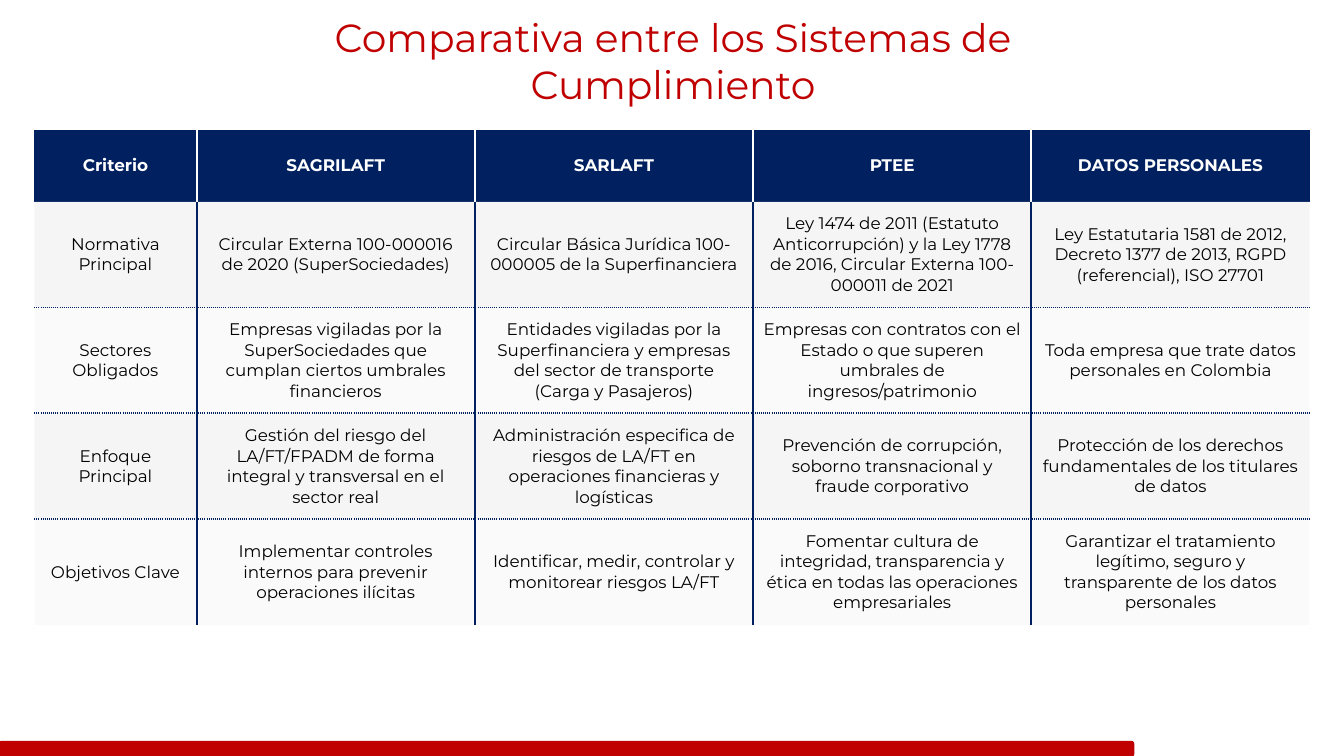
from lxml import etree
from pptx import Presentation
from pptx.dml.color import RGBColor
from pptx.enum import shapes, text
from pptx.oxml.ns import qn
from pptx.util import Inches, Pt

FONT = "Montserrat"
RED = RGBColor(0xC0, 0x00, 0x00)
NAVY = RGBColor(0x00, 0x20, 0x60)
WHITE = RGBColor(0xFF, 0xFF, 0xFF)
BLACK = RGBColor(0x00, 0x00, 0x00)
ROW_GRAYS = (RGBColor(0xE1, 0xE1, 0xE1), RGBColor(0xF0, 0xF0, 0xF0))
ROW_OPACITY = 30

COLUMN_WIDTHS = (1.61, 2.76, 2.76, 2.76, 2.76)
ROW_HEIGHTS = (0.71, 1.05, 1.05, 1.05, 1.05)
COMPARISON = (
    ("Criterio", "SAGRILAFT", "SARLAFT", "PTEE", "DATOS PERSONALES"),
    ("Normativa Principal",
     "Circular Externa 100-000016 de 2020 (SuperSociedades)",
     "Circular Básica Jurídica 100-000005 de la Superfinanciera",
     "Ley 1474 de 2011 (Estatuto Anticorrupción) y la Ley 1778 de 2016, "
     "Circular Externa 100-000011 de 2021",
     "Ley Estatutaria 1581 de 2012, Decreto 1377 de 2013, RGPD (referencial), ISO 27701"),
    ("Sectores Obligados",
     "Empresas vigiladas por la SuperSociedades que cumplan ciertos umbrales financieros",
     "Entidades vigiladas por la Superfinanciera y empresas del sector de transporte "
     "(Carga y Pasajeros)",
     "Empresas con contratos con el Estado o que superen umbrales de ingresos/patrimonio",
     "Toda empresa que trate datos personales en Colombia"),
    ("Enfoque Principal",
     "Gestión del riesgo del LA/FT/FPADM de forma integral y transversal en el sector real",
     "Administración especifica de riesgos de LA/FT en operaciones financieras y logísticas",
     "Prevención de corrupción, soborno transnacional y fraude corporativo",
     "Protección de los derechos fundamentales de los titulares de datos"),
    ("Objetivos Clave",
     "Implementar controles internos para prevenir operaciones ilícitas",
     "Identificar, medir, controlar y monitorear riesgos LA/FT",
     "Fomentar cultura de integridad, transparencia y ética en todas las "
     "operaciones empresariales",
     "Garantizar el tratamiento legítimo, seguro y transparente de los datos personales"),
)


def write_centred(frame, wording, size, color, bold=False):
    frame.word_wrap = True
    paragraph = frame.paragraphs[0]
    paragraph.text = wording
    paragraph.alignment = text.PP_ALIGN.CENTER
    font = paragraph.font
    font.name, font.size, font.bold = FONT, Pt(size), bold
    font.color.rgb = color


def fill_cell(cell, color, opacity=100):
    cell.fill.solid()
    cell.fill.fore_color.rgb = color
    if opacity < 100:
        rgb = cell._tc.tcPr.find(".//" + qn("a:srgbClr"))
        etree.SubElement(rgb, qn("a:alpha"), val=str(opacity * 1000))


def set_borders(cell, borders):
    """Draw four edges, given as (color, dash) or None in the order L, R, T, B."""
    properties = cell._tc.get_or_add_tcPr()
    for position, (side, border) in enumerate(zip("LRTB", borders)):
        line = etree.Element(qn("a:ln" + side), w=str(Pt(1.5)))
        if border:
            color, dash = border
            solid = etree.SubElement(line, qn("a:solidFill"))
            etree.SubElement(solid, qn("a:srgbClr"), val=str(color))
            etree.SubElement(line, qn("a:prstDash"), val=dash)
        else:
            etree.SubElement(line, qn("a:noFill"))
        properties.insert(position, line)


def add_footer_bar(slide):
    bar = slide.shapes.add_shape(
        shapes.MSO_SHAPE.ROUNDED_RECTANGLE,
        Inches(-0.01), Inches(7.35), Inches(11.26), Inches(0.16))
    bar.shadow.inherit = False
    bar.fill.solid()
    bar.fill.fore_color.rgb = RED
    bar.line.fill.background()


def add_title(slide, wording):
    title = slide.shapes.add_textbox(Inches(3.2), Inches(0.3), Inches(6.95), Inches(0.59))
    frame = title.text_frame
    frame.vertical_anchor = text.MSO_ANCHOR.MIDDLE
    frame.margin_left = frame.margin_right = Inches(0.07)
    frame.margin_top = frame.margin_bottom = Inches(0.07)
    write_centred(frame, wording, 28, RED)


def add_comparison(slide):
    last_row, last_column = len(ROW_HEIGHTS) - 1, len(COLUMN_WIDTHS) - 1
    table = slide.shapes.add_table(
        len(ROW_HEIGHTS), len(COLUMN_WIDTHS), Inches(0.34), Inches(1.29),
        Inches(sum(COLUMN_WIDTHS)), Inches(sum(ROW_HEIGHTS))).table
    table.horz_banding = False
    for column, width in zip(table.columns, COLUMN_WIDTHS):
        column.width = Inches(width)
    for row, height in zip(table.rows, ROW_HEIGHTS):
        row.height = Inches(height)

    dotted = (NAVY, "sysDot")
    for r, criterion in enumerate(COMPARISON):
        header = r == 0
        divider = (WHITE if header else NAVY, "solid")
        for c, wording in enumerate(criterion):
            cell = table.cell(r, c)
            cell.vertical_anchor = text.MSO_ANCHOR.MIDDLE
            write_centred(cell.text_frame, wording, 12, WHITE if header else BLACK, header)
            if header:
                fill_cell(cell, NAVY)
            else:
                fill_cell(cell, ROW_GRAYS[(r - 1) % 2], ROW_OPACITY)
            set_borders(cell, (
                divider if c > 0 else None,
                divider if c < last_column else None,
                dotted if r > 1 else None,
                dotted if 0 < r < last_row else None))


def main():
    deck = Presentation()
    deck.slide_width, deck.slide_height = Inches(13.33), Inches(7.5)
    slide = deck.slides.add_slide(deck.slide_layouts[6])
    add_footer_bar(slide)
    add_comparison(slide)
    add_title(slide, "Comparativa entre los Sistemas de Cumplimiento")
    deck.save("out.pptx")


if __name__ == "__main__":
    main()
